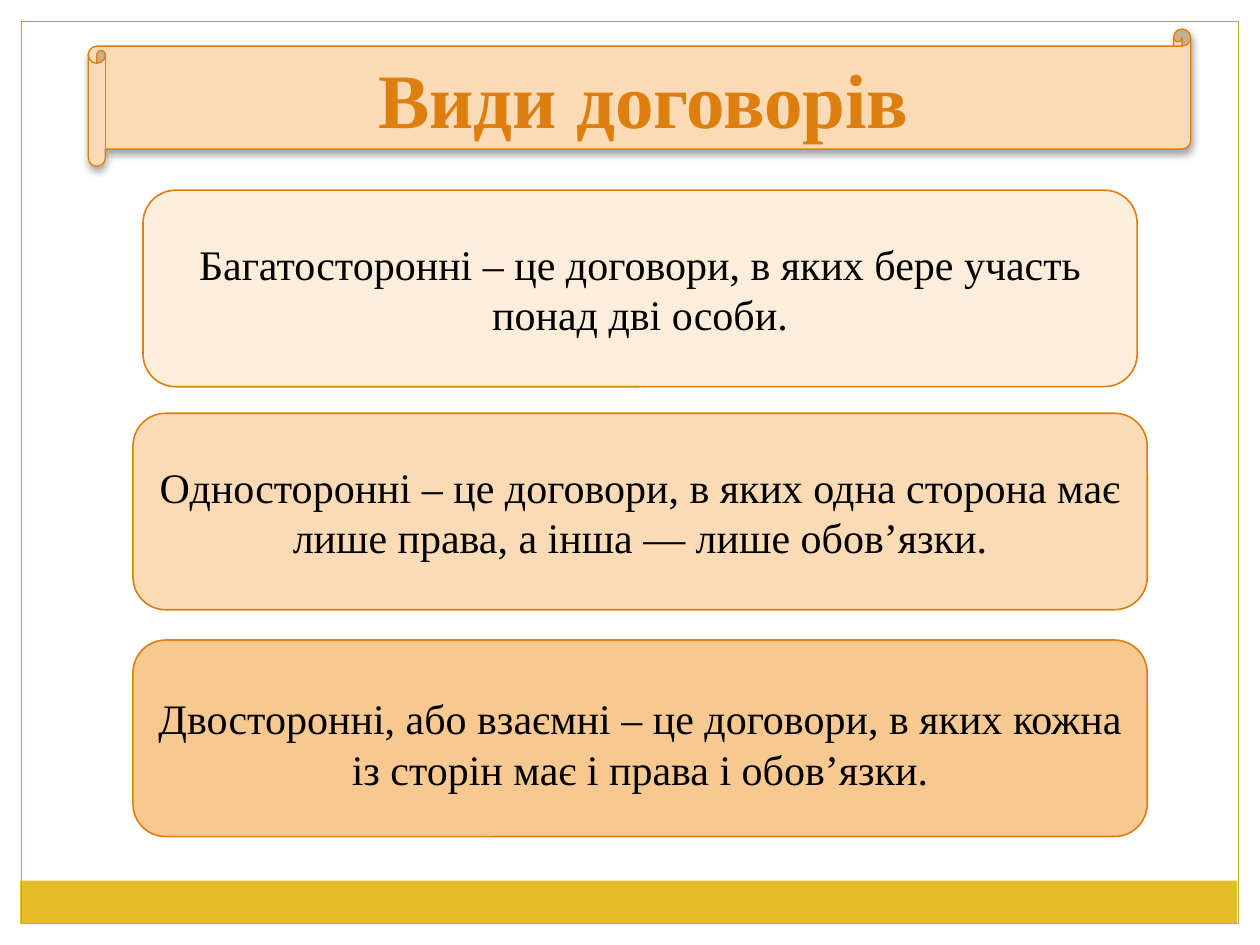
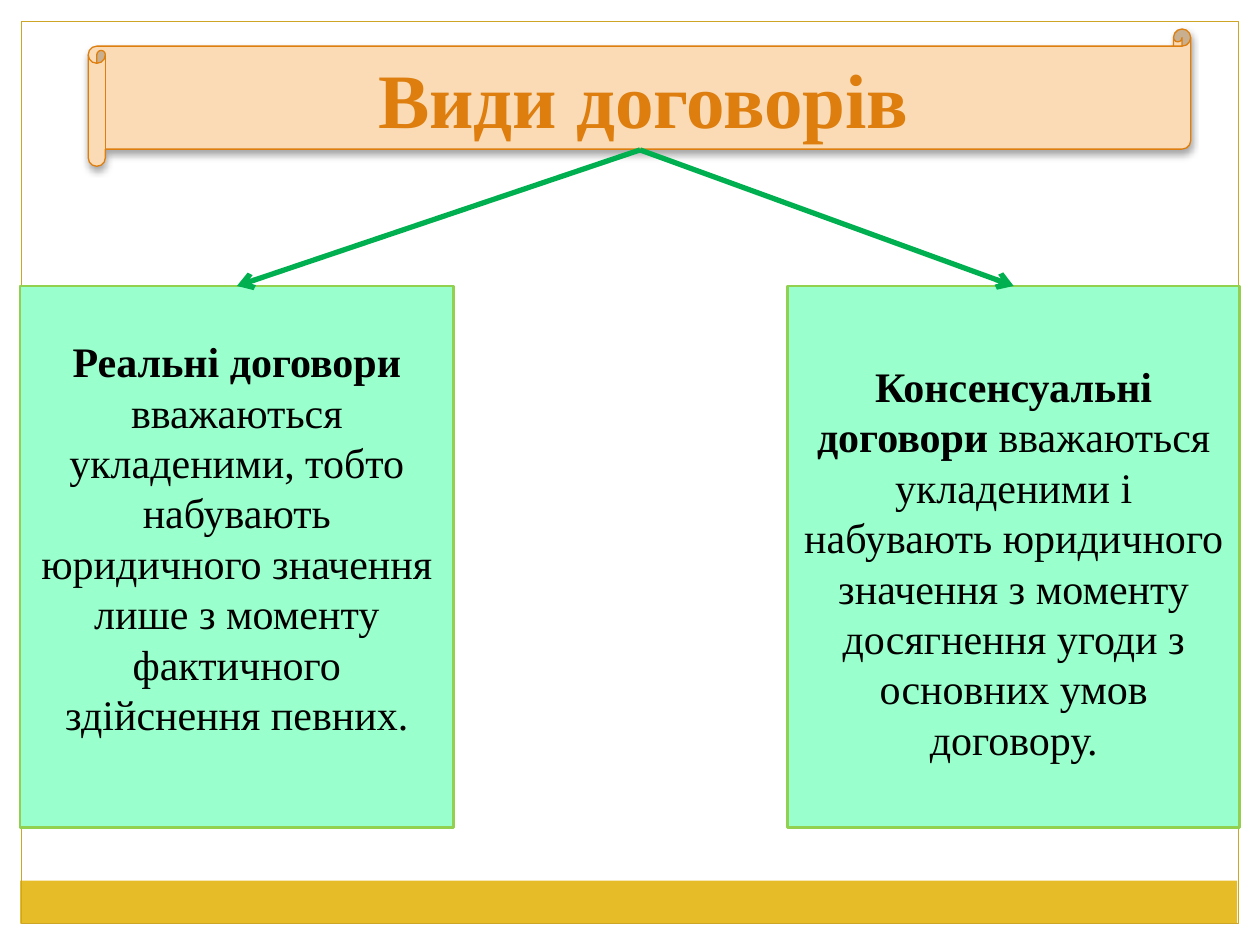
from lxml.etree import SubElement
from pptx import Presentation
from pptx.enum.shapes import MSO_CONNECTOR, MSO_SHAPE
from pptx.enum.text import MSO_ANCHOR, PP_ALIGN
from pptx.dml.color import RGBColor
from pptx.oxml.ns import qn
from pptx.util import Inches, Pt

FONT = "Times New Roman"
ORANGE, PEACH, GOLD = "DD7E0E", "FADBB5", "E7BC29"
MINT, LIME, GREEN = "99FFCC", "92D050", "00B050"

deck = Presentation()
deck.slide_width, deck.slide_height = Inches(10), Inches(7.5)
UNIT = deck.slide_width / 100  # grid of 100 columns by 75 rows


def paint(fill, color):
    if color:
        fill.solid()
        fill.fore_color.rgb = RGBColor.from_string(color)
    else:
        fill.background()


def box(slide, form, place, text="", lead="", fill=None, edge=None, width=0.75,
        size=24, color="000000", bold=False, top=0.5, bottom=0.5):
    shape = slide.shapes.add_shape(form, *[round(n * UNIT) for n in place])
    shape.shadow.inherit = False
    paint(shape.fill, fill)
    paint(shape.line.fill, edge)
    if edge:
        shape.line.width = Pt(width)
    frame = shape.text_frame
    frame.word_wrap = True
    frame.vertical_anchor = MSO_ANCHOR.MIDDLE
    frame.margin_top, frame.margin_bottom = round(top * UNIT), round(bottom * UNIT)
    line = frame.paragraphs[0]
    line.alignment = PP_ALIGN.CENTER
    for words, strong in ((lead, True), (text, bold)):
        if words:
            run = line.add_run()
            run.text = words
            run.font.name, run.font.size, run.font.bold = FONT, Pt(size), strong
            paint(run.font.fill, color)
    return shape


# Shared band, frame and title scroll
slides = [deck.slides.add_slide(deck.slide_layouts[6]) for _ in range(2)]
for slide in slides:
    box(slide, MSO_SHAPE.RECTANGLE, (1.6, 69.9, 96.6, 3.4), fill=GOLD)
    box(slide, MSO_SHAPE.RECTANGLE, (1.7, 1.7, 96.6, 71.6), edge="CCA624")
    title = box(slide, MSO_SHAPE.HORIZONTAL_SCROLL, (7, 2.3, 87.5, 10.9),
                "Види договорів", fill=PEACH, edge=ORANGE,
                size=44, color=ORANGE, bold=True)
    glow = title.element.spPr.find(qn("a:effectLst"))
    shade = SubElement(glow, qn("a:outerShdw"), blurRad=str(Pt(4)),
                       dist=str(Pt(2)), dir="5400000", rotWithShape="0")
    tone = SubElement(shade, qn("a:srgbClr"), val="000000")
    SubElement(tone, qn("a:alpha"), val="35000")

first, second = slides

# Three kinds by number of sides, centred in one column
kinds = [
    (15.1, 78.9, "FDEDDA", 0.5,
     "Багатосторонні – це договори, в яких бере участь понад дві особи."),
    (32.8, 80.5, PEACH, 0.5,
     "Односторонні – це договори, в яких одна сторона має лише права, "
     "а інша — лише обов’язки."),
    (50.8, 80.5, "F8C891", 1.3,
     "Двосторонні, або взаємні – це договори, в яких кожна із сторін "
     "має і права і обов’язки."),
]
MID = 50.8
for row, wide, fill, top, text in kinds:
    box(first, MSO_SHAPE.ROUNDED_RECTANGLE, (MID - wide / 2, row, wide, 15.6),
        text, fill=fill, edge=ORANGE, width=0.9, top=top)

# Two kinds by moment of conclusion, each with an arrow from the title
ROW = 22.7
pair = [
    (1.6, 34.4, 0.5, 3.6, "Реальнi договори ",
     "вважаються укладеними, тобто набувають юридичного значення лише "
     "з моменту фактичного здійснення певних."),
    (62.5, 35.9, 1.3, 0.5, "Консенсуальнi договори ",
     "вважаються укладеними i набувають юридичного значення з моменту "
     "досягнення угоди з основних умов договору."),
]
for left, wide, top, bottom, lead, text in pair:
    box(second, MSO_SHAPE.RECTANGLE, (left, ROW, wide, 43), text, lead,
        fill=MINT, edge=LIME, width=1.5, top=top, bottom=bottom)
for left, wide, *_ in pair:
    ends = (MID, 11.9, left + wide / 2, ROW)
    arrow = second.shapes.add_connector(
        MSO_CONNECTOR.STRAIGHT, *[round(n * UNIT) for n in ends])
    paint(arrow.line.fill, GREEN)
    arrow.line.width = Pt(3)
    props = arrow.element.spPr
    SubElement(props.find(qn("a:ln")), qn("a:tailEnd"), type="arrow")
    SubElement(props, qn("a:effectLst"))

deck.save("out.pptx")
